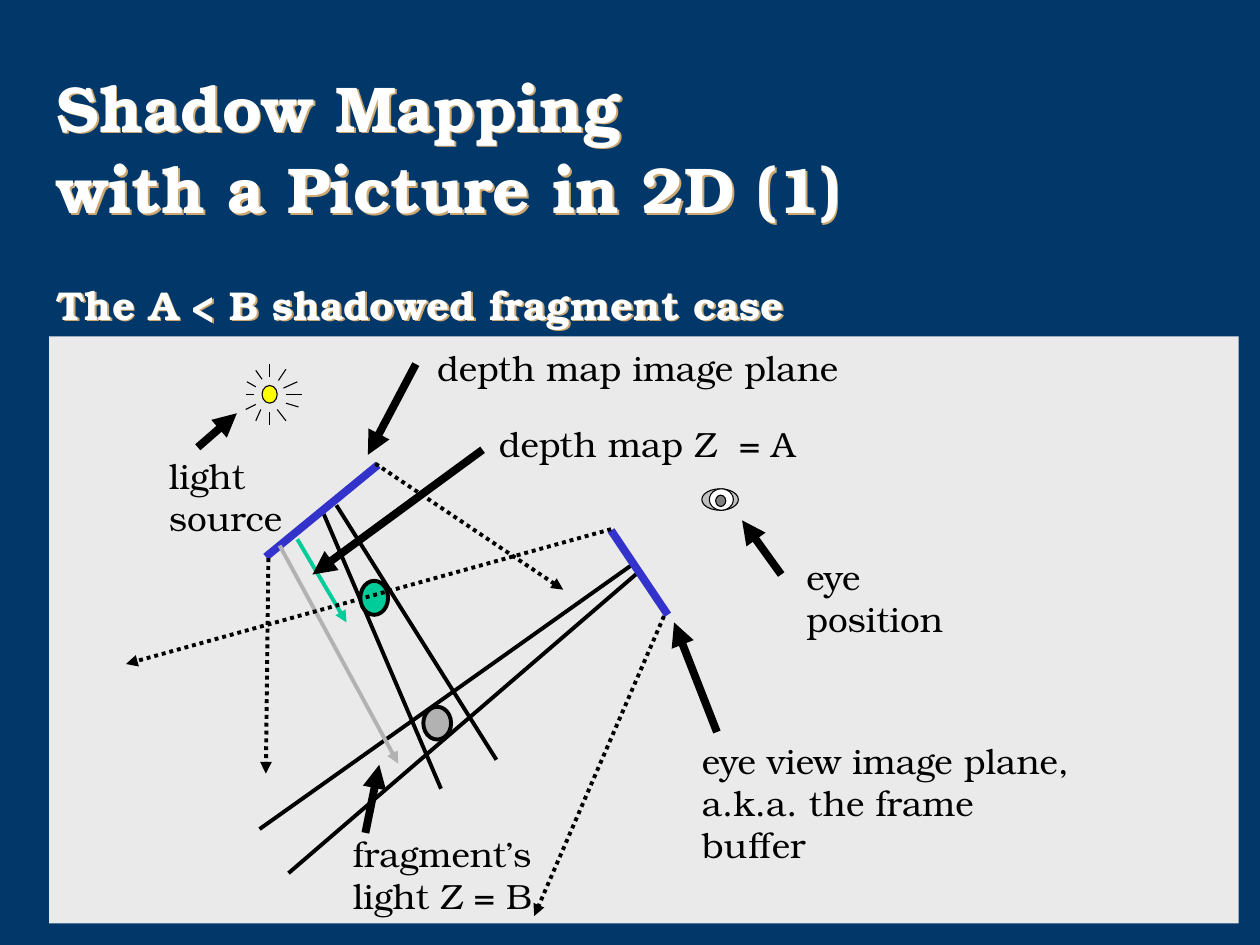
from lxml.etree import SubElement
from pptx import Presentation
from pptx.dml.color import RGBColor
from pptx.enum.dml import MSO_LINE_DASH_STYLE as Dash
from pptx.enum.shapes import MSO_CONNECTOR as Connector, MSO_SHAPE as Preset
from pptx.enum.text import MSO_ANCHOR as Anchor
from pptx.oxml.ns import qn
from pptx.util import Cm, Pt

FONT = "TeX Gyre Bonum"
NAVY = RGBColor(0x01, 0x37, 0x69)
PANEL = RGBColor(0xEA, 0xEA, 0xEA)
WHITE = RGBColor(0xFF, 0xFF, 0xFF)
BLACK = RGBColor(0x00, 0x00, 0x00)
BLUE = RGBColor(0x33, 0x33, 0xCC)
GREEN = RGBColor(0x00, 0xCC, 0x99)
GRAY = RGBColor(0xB2, 0xB2, 0xB2)
SILVER = RGBColor(0xC0, 0xC0, 0xC0)
PUPIL = RGBColor(0x80, 0x80, 0x80)
YELLOW = RGBColor(0xFF, 0xFF, 0x00)
TAN = RGBColor(0xCC, 0xA8, 0x70)

HAIR, MEDIUM, THICK = 0.62, 2.25, 4.5

SUN_RAYS = [
    (2.14, 2.99, 2.14, 2.89), (2.14, 3.27, 2.14, 3.37),
    (2.21, 3.02, 2.27, 2.93), (2.25, 3.08, 2.36, 3.03),
    (2.20, 3.25, 2.27, 3.34), (2.27, 3.20, 2.37, 3.23),
    (2.08, 3.01, 2.03, 2.94), (2.03, 3.07, 1.96, 3.03),
    (2.07, 3.25, 2.03, 3.34), (2.03, 3.21, 1.95, 3.25),
    (2.27, 3.13, 2.40, 3.13), (2.02, 3.13, 1.95, 3.13),
]
LIGHT_RAYS = [(2.57, 4.08, 3.5, 6.26), (2.67, 4.01, 3.94, 6.03)]
EYE_RAYS = [(5.02, 4.48, 2.06, 6.58), (5.08, 4.53, 2.29, 6.93)]
IMAGE_PLANES = [(2.11, 4.42, 3, 3.69), (4.85, 4.21, 5.3, 4.88)]
FRUSTUM_EDGES = [
    (4.85, 4.2, 1, 5.27), (5.27, 4.89, 4.24, 7.27),
    (2.13, 4.43, 2.11, 6.14), (2.98, 3.68, 4.47, 4.68),
]
POINTERS = [
    (1.57, 3.55, 1.88, 3.28), (6.2, 4.56, 5.89, 4.13),
    (3.83, 3.57, 2.48, 4.56), (2.9, 6.61, 3.01, 6.07),
    (3.3, 2.89, 2.92, 3.61), (5.69, 5.81, 5.35, 4.94),
]
LABELS = [
    ("light\nsource", 1.34, 3.61, 1.2),
    ("eye\nposition", 6.4, 4.41, 1.4),
    ("depth map Z  = A", 3.96, 3.35, 2.6),
    ("fragment’s\nlight Z = B", 2.8, 6.61, 1.6),
    ("depth map image plane", 3.47, 2.75, 3.4),
    ("eye view image plane,\na.k.a. the frame buffer", 5.57, 5.87, 3.05),
]


def lengths(*inches):
    return [Cm(value * 2.54) for value in inches]


def add_filled(page, preset, place, fill, width=None):
    """Add a preset shape, outlined in black when a width is given."""
    shape = page.shapes.add_shape(preset, *lengths(*place))
    shape.shadow.inherit = False
    shape.fill.solid()
    shape.fill.fore_color.rgb = fill
    if width is None:
        shape.line.fill.background()
    else:
        shape.line.color.rgb = BLACK
        shape.line.width = Pt(width)


def add_lines(page, ends, width, color=BLACK, arrow=False, dotted=False):
    for end in ends:
        line = page.shapes.add_connector(Connector.STRAIGHT, *lengths(*end))
        line.line.color.rgb = color
        line.line.width = Pt(width)
        if dotted:
            line.line.dash_style = Dash.ROUND_DOT
        properties = line._element.spPr
        if arrow:
            SubElement(properties.find(qn("a:ln")), qn("a:tailEnd"), type="triangle")
        SubElement(properties, qn("a:effectLst"))


def add_text(page, text, place, size, color=BLACK, inset=(0, 0)):
    box = page.shapes.add_textbox(*lengths(*place))
    frame = box.text_frame
    frame.word_wrap = True
    frame.margin_left = frame.margin_right = Cm(inset[0])
    frame.margin_top = frame.margin_bottom = Cm(inset[1])
    para = frame.paragraphs[0]
    para.text = text.replace("\n", "\v")
    para.font.name = FONT
    para.font.size = Pt(size)
    para.font.color.rgb = color
    return box


def add_heading(page, text, place, size):
    """Add bold white text with a tan shadow."""
    box = add_text(page, text, place, size, WHITE, inset=(0.25, 0.13))
    box.text_frame.paragraphs[0].font.bold = True
    effects = SubElement(box._element.spPr, qn("a:effectLst"))
    shadow = SubElement(effects, qn("a:outerShdw"), dist=str(Pt(1.5)), dir="2700000")
    SubElement(shadow, qn("a:srgbClr"), val=str(TAN))
    return box


def add_eye(page):
    add_filled(page, Preset.OVAL, (5.57, 3.88, 0.29, 0.17), SILVER, HAIR)
    add_filled(page, Preset.OVAL, (5.63, 3.88, 0.19, 0.17), WHITE, HAIR)
    add_filled(page, Preset.OVAL, (5.68, 3.93, 0.08, 0.09), PUPIL, HAIR)


def add_sun(page):
    add_filled(page, Preset.OVAL, (2.08, 3.06, 0.12, 0.14), YELLOW, HAIR)
    add_lines(page, SUN_RAYS, HAIR)


def main():
    deck = Presentation()
    deck.slide_width, deck.slide_height = lengths(10, 7.5)
    page = deck.slides.add_slide(deck.slide_layouts[6])
    page.background.fill.solid()
    page.background.fill.fore_color.rgb = NAVY

    add_filled(page, Preset.RECTANGLE, (0.39, 2.67, 9.44, 4.66), PANEL)
    title = add_heading(page, "Shadow Mapping\nwith a Picture in 2D (1)",
                        (0.35, 0.39, 6.99, 1.52), 37)
    title.text_frame.vertical_anchor = Anchor.MIDDLE
    title.text_frame.paragraphs[0].line_spacing = 1.05
    add_heading(page, "The A < B shadowed fragment case", (0.35, 2.17, 9.3, 0.5), 23)

    add_eye(page)
    add_sun(page)
    add_lines(page, LIGHT_RAYS + EYE_RAYS, MEDIUM)
    add_filled(page, Preset.OVAL, (2.86, 4.61, 0.22, 0.27), GREEN, MEDIUM)
    add_filled(page, Preset.OVAL, (3.36, 5.61, 0.22, 0.26), GRAY, MEDIUM)
    add_lines(page, IMAGE_PLANES, THICK, BLUE)
    add_lines(page, [(2.36, 4.28, 2.75, 4.94)], MEDIUM, GREEN, arrow=True)
    add_lines(page, [(2.22, 4.33, 3.16, 6.06)], MEDIUM, GRAY, arrow=True)
    add_lines(page, POINTERS, THICK, arrow=True)
    for text, left, top, width in LABELS:
        add_text(page, text, (left, top, width, 0.67), 20)
    add_lines(page, FRUSTUM_EDGES, MEDIUM, arrow=True, dotted=True)

    deck.save("out.pptx")


if __name__ == "__main__":
    main()
